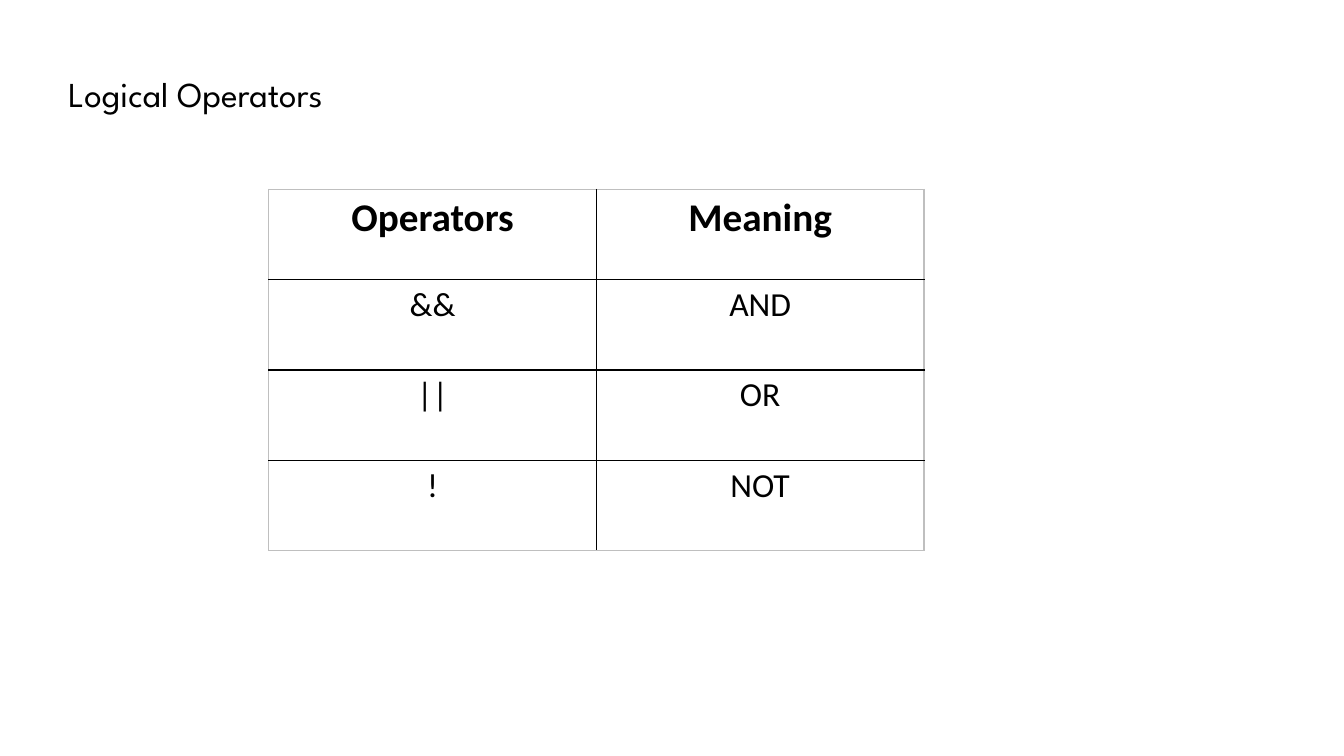
from lxml.etree import SubElement
from pptx import Presentation
from pptx.dml.color import RGBColor
from pptx.enum.text import PP_ALIGN
from pptx.oxml.ns import qn
from pptx.util import Pt

BLACK = RGBColor(0x00, 0x00, 0x00)
WHITE = RGBColor(0xFF, 0xFF, 0xFF)
GRAY = RGBColor(0xBF, 0xBF, 0xBF)


def add_border(cell, side, color):
    line = SubElement(cell._tc.get_or_add_tcPr(), qn(f"a:ln{side}"), w=str(Pt(1)))
    fill = SubElement(line, qn("a:solidFill"))
    SubElement(fill, qn("a:srgbClr"), val=str(color))


deck = Presentation()
deck.slide_width, deck.slide_height = Pt(960), Pt(540)
slide = deck.slides.add_slide(deck.slide_layouts[6])

title = slide.shapes.add_textbox(Pt(41.8), Pt(48.2), Pt(870.5), Pt(37.4)).text_frame
title.word_wrap = True
heading = title.paragraphs[0]
heading.text = "Logical Operators"
heading.font.name = "League Spartan"
heading.font.size = Pt(25)
heading.font.color.rgb = BLACK

rows = [("Operators", "Meaning"), ("&&", "AND"), ("||", "OR"), ("!", "NOT")]
last_row, last_column = len(rows) - 1, len(rows[0]) - 1
operators = slide.shapes.add_table(
    len(rows), len(rows[0]), Pt(192), Pt(135.3), Pt(468), Pt(258)
).table
operators.horz_banding = False

for r, row in enumerate(rows):
    operators.rows[r].height = Pt(64.5)
    for c, text in enumerate(row):
        cell = operators.cell(r, c)
        outer_sides = {"L": c == 0, "R": c == last_column, "T": r == 0, "B": r == last_row}
        for side, is_outer in outer_sides.items():
            add_border(cell, side, GRAY if is_outer else BLACK)
        cell.fill.solid()
        cell.fill.fore_color.rgb = WHITE
        label = cell.text_frame.paragraphs[0]
        label.text = text
        label.alignment = PP_ALIGN.CENTER
        label.font.name = "Calibri"
        label.font.size = Pt(28 if r == 0 else 24)
        label.font.bold = r == 0
        label.font.color.rgb = BLACK

deck.save("out.pptx")
